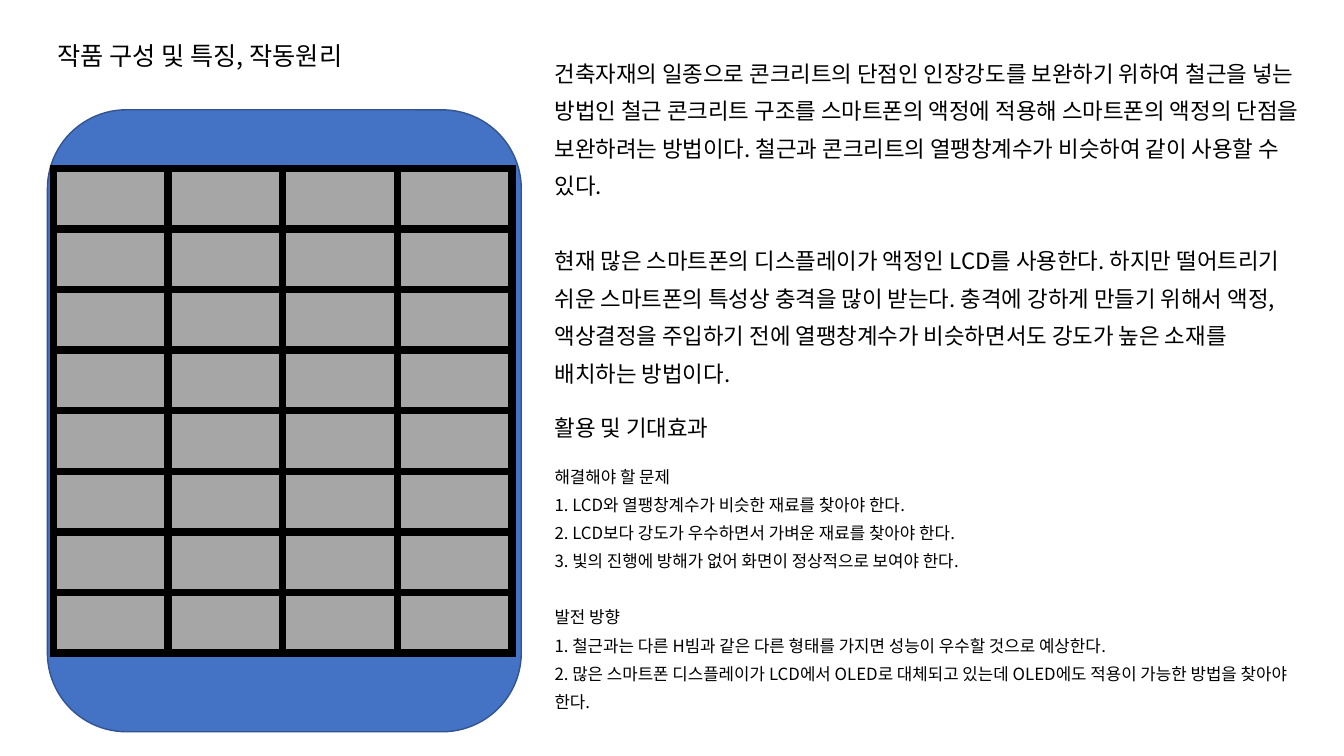
from dataclasses import dataclass

from lxml.etree import SubElement
from pptx import Presentation
from pptx.dml.color import RGBColor
from pptx.enum.shapes import MSO_SHAPE as Preset
from pptx.enum.text import MSO_ANCHOR as Anchor, MSO_AUTO_SIZE as AutoSize, PP_ALIGN as Align
from pptx.oxml.ns import qn
from pptx.util import Inches, Pt


@dataclass(frozen=True)
class Theme:
    """Colours, type sizes and line widths of the slide."""
    font: str = "Noto Sans CJK KR"
    ink: str = "000000"
    phone: str = "4472C4"
    phone_edge: str = "325491"
    glass: str = "A6A6A6"
    title: int = 18
    text: int = 16
    note: int = 12
    leading: float = 1.67
    edge: int = 1
    bar: int = 6


@dataclass(frozen=True)
class Area:
    """A rectangle in percent of the slide's width and height."""
    left: float
    top: float
    width: float
    height: float

    def box(self) -> tuple[int, int, int, int]:
        """Return left, top, width and height as slide lengths."""
        return (int(WIDTH * self.left / 100), int(HEIGHT * self.top / 100),
                int(WIDTH * self.width / 100), int(HEIGHT * self.height / 100))


@dataclass(frozen=True)
class Line:
    """A paragraph with its type size and the space before it in points."""
    text: str
    size: int
    before: int = 0


THEME = Theme()
WIDTH, HEIGHT = Inches(13.33), Inches(7.5)
TITLE_AREA = Area(3.53, 3.07, 35.26, 6.27)
BODY_AREA = Area(40.51, 5.87, 57.76, 89.73)
PHONE_AREA = Area(3.53, 14.53, 35.26, 82.27)
MESH_AREA = Area(3.98, 22.27, 34.13, 64.13)
MESH_ROWS, MESH_COLUMNS = 8, 4

TITLE = [Line("작품 구성 및 특징, 작동원리", THEME.title)]
BODY = [
    Line("건축자재의 일종으로 콘크리트의 단점인 인장강도를 보완하기 위하여 철근을 넣는 방법인 철근 콘크리트 구조를 "
         "스마트폰의 액정에 적용해 스마트폰의 액정의 단점을 보완하려는 방법이다. 철근과 콘크리트의 열팽창계수가 "
         "비슷하여 같이 사용할 수 있다.", THEME.text),
    Line("현재 많은 스마트폰의 디스플레이가 액정인 LCD를 사용한다. 하지만 떨어트리기 쉬운 스마트폰의 특성상 충격을 "
         "많이 받는다. 충격에 강하게 만들기 위해서 액정, 액상결정을 주입하기 전에 열팽창계수가 비슷하면서도 강도가 "
         "높은 소재를 배치하는 방법이다.", THEME.text, 27),
    Line("활용 및 기대효과", THEME.text, 12),
    Line("해결해야 할 문제", THEME.note, 13),
    Line("1. LCD와 열팽창계수가 비슷한 재료를 찾아야 한다.", THEME.note),
    Line("2. LCD보다 강도가 우수하면서 가벼운 재료를 찾아야 한다.", THEME.note),
    Line("3. 빛의 진행에 방해가 없어 화면이 정상적으로 보여야 한다.", THEME.note),
    Line("발전 방향", THEME.note, 20),
    Line("1. 철근과는 다른 H빔과 같은 다른 형태를 가지면 성능이 우수할 것으로 예상한다.", THEME.note),
    Line("2. 많은 스마트폰 디스플레이가 LCD에서 OLED로 대체되고 있는데 OLED에도 적용이 가능한 방법을 "
         "찾아야 한다.", THEME.note),
]


def colour(code: str) -> RGBColor:
    """Turn a hex code into a colour."""
    return RGBColor.from_string(code)


def format_para(para, line: Line) -> None:
    """Set spacing, alignment and type of one paragraph."""
    para.alignment = Align.LEFT
    para.line_spacing = Pt(line.size * THEME.leading)
    para.space_before = Pt(line.before)
    para.space_after = Pt(0)
    properties = para._p.get_or_add_pPr()
    properties.set("marL", "0")
    properties.set("indent", "0")
    SubElement(properties, qn("a:buNone"))
    for span in para.runs:
        span.font.size = Pt(line.size)
        span.font.name = THEME.font
        span.font.color.rgb = colour(THEME.ink)
        SubElement(span._r.get_or_add_rPr(), qn("a:ea"), typeface=THEME.font)


def fill_placeholder(holder, area: Area, lines: list[Line]) -> None:
    """Move a placeholder and write its paragraphs."""
    holder.left, holder.top, holder.width, holder.height = area.box()
    frame = holder.text_frame
    frame.word_wrap = True
    frame.auto_size = AutoSize.NONE
    frame.vertical_anchor = Anchor.TOP
    frame.text = "\n".join(line.text for line in lines)
    for para, line in zip(frame.paragraphs, lines):
        format_para(para, line)


def draw_phone(page) -> None:
    """Draw the rounded phone body."""
    phone = page.shapes.add_shape(Preset.ROUNDED_RECTANGLE, *PHONE_AREA.box())
    phone.shadow.inherit = False
    phone.fill.solid()
    phone.fill.fore_color.rgb = colour(THEME.phone)
    phone.line.color.rgb = colour(THEME.phone_edge)
    phone.line.width = Pt(THEME.edge)


def format_cell(cell) -> None:
    """Give a cell its glass fill and reinforcing bars."""
    properties = cell._tc.get_or_add_tcPr()
    for side in ("lnL", "lnR", "lnT", "lnB"):
        bar = SubElement(properties, qn(f"a:{side}"), w=str(Pt(THEME.bar)))
        SubElement(SubElement(bar, qn("a:solidFill")), qn("a:srgbClr"), val=THEME.ink)
    cell.fill.solid()
    cell.fill.fore_color.rgb = colour(THEME.glass)


def draw_mesh(page) -> None:
    """Draw the reinforcing mesh as a table."""
    mesh = page.shapes.add_table(MESH_ROWS, MESH_COLUMNS, *MESH_AREA.box()).table
    for cell in mesh.iter_cells():
        format_cell(cell)


def main() -> None:
    """Build and save the slide."""
    deck = Presentation()
    deck.slide_width, deck.slide_height = WIDTH, HEIGHT
    page = deck.slides.add_slide(deck.slide_layouts[1])
    fill_placeholder(page.shapes.title, TITLE_AREA, TITLE)
    fill_placeholder(page.placeholders[1], BODY_AREA, BODY)
    draw_phone(page)
    draw_mesh(page)
    deck.save("out.pptx")


if __name__ == "__main__":
    main()
